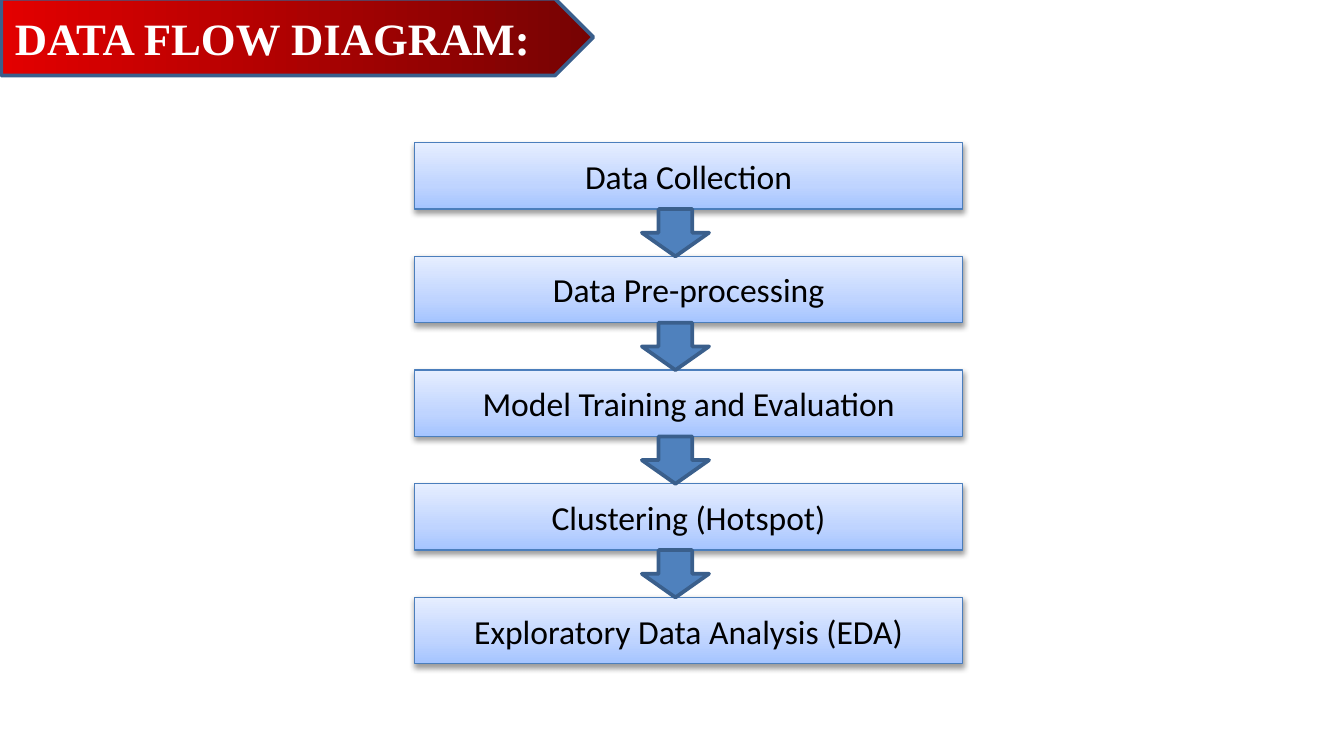
from lxml.etree import SubElement
from pptx import Presentation
from pptx.dml.color import RGBColor
from pptx.enum.shapes import MSO_SHAPE
from pptx.enum.text import MSO_ANCHOR, PP_ALIGN
from pptx.oxml.ns import qn
from pptx.util import Inches, Pt

COLORS = {
    "banner_start": "E30000", "banner_end": "760303",
    "step_bottom": "A4C4FF", "step_middle": "BFD4FF", "step_top": "E6EEFF",
    "step_line": "4B7EBC", "arrow": "4F81BD", "outline": "3A5F8C",
    "shadow": "000000", "text": "000000", "title": "FFFFFF",
}
STEPS = [
    "Data Collection",
    "Data Pre-processing",
    "Model Training and Evaluation",
    "Clustering (Hotspot)",
    "Exploratory Data Analysis (EDA)",
]
GRID = 100  # columns and rows on the slide

# Left, top, width, height in grid columns and rows
BANNER = (0.1, -0.15, 44.05, 10.15)
STEP_LEFT, STEP_TOP, STEP_WIDTH, STEP_HEIGHT = 30.84, 18.88, 40.8, 8.78
STEP_PITCH = 15.04
ARROW_LEFT, ARROW_WIDTH = 47.76, 5


class FlowSlide:
    def __init__(self, presentation):
        self.column = presentation.slide_width / GRID
        self.row = presentation.slide_height / GRID
        self.slide = presentation.slides.add_slide(presentation.slide_layouts[5])

    def box(self, left, top, width, height):
        """Turn grid columns and rows into slide lengths."""
        return (round(left * self.column), round(top * self.row),
                round(width * self.column), round(height * self.row))

    def color(self, name):
        return RGBColor.from_string(COLORS[name])

    def add_shape(self, kind, place, line, line_width):
        shape = self.slide.shapes.add_shape(kind, *self.box(*place))
        shape.shadow.inherit = False
        shape.line.color.rgb = self.color(line)
        shape.line.width = Pt(line_width)
        return shape

    def set_gradient(self, shape, angle, stops):
        """Fill with (percent, colour name) stops at a counter-clockwise angle."""
        shape.fill.gradient()
        shape.fill.gradient_angle = angle
        stop_list = shape._element.spPr.find(qn("a:gradFill")).find(qn("a:gsLst"))
        for old_stop in list(stop_list):
            stop_list.remove(old_stop)
        for percent, name in stops:
            stop = SubElement(stop_list, qn("a:gs"), pos=str(percent * 1000))
            SubElement(stop, qn("a:srgbClr"), val=COLORS[name])

    def set_shadow(self, shape):
        effects = shape._element.spPr.find(qn("a:effectLst"))
        shadow = SubElement(effects, qn("a:outerShdw"), blurRad=str(Pt(3.1)),
                            dist=str(Pt(1.6)), dir="5400000", rotWithShape="0")
        color = SubElement(shadow, qn("a:srgbClr"), val=COLORS["shadow"])
        SubElement(color, qn("a:alpha"), val="38000")

    def set_text(self, shape, text, font, size, color, alignment, bold=False):
        frame = shape.text_frame
        frame.text = text
        frame.word_wrap = True
        frame.vertical_anchor = MSO_ANCHOR.MIDDLE
        paragraph = frame.paragraphs[0]
        paragraph.alignment = alignment
        run_font = paragraph.runs[0].font
        run_font.name = font
        run_font.size = Pt(size)
        run_font.bold = bold
        run_font.color.rgb = self.color(color)

    def add_title(self, text):
        banner = self.add_shape(MSO_SHAPE.PENTAGON, BANNER, "outline", 2)
        self.set_gradient(banner, 0, [(0, "banner_start"), (100, "banner_end")])
        title = self.slide.shapes.title
        title.left, title.top, title.width, title.height = self.box(*BANNER)
        self.set_text(title, text, "Times New Roman", 24, "title", PP_ALIGN.LEFT, True)
        banner._element.addnext(title._element)  # keeps the title in front

    def add_step(self, text, top):
        place = (STEP_LEFT, top, STEP_WIDTH, STEP_HEIGHT)
        step = self.add_shape(MSO_SHAPE.RECTANGLE, place, "step_line", 0.75)
        self.set_gradient(step, 90, [(0, "step_bottom"), (35, "step_middle"),
                                     (100, "step_top")])
        self.set_shadow(step)
        self.set_text(step, text, "Calibri", 18, "text", PP_ALIGN.CENTER)

    def add_arrow(self, top):
        place = (ARROW_LEFT, top, ARROW_WIDTH, STEP_PITCH - STEP_HEIGHT)
        arrow = self.add_shape(MSO_SHAPE.DOWN_ARROW, place, "outline", 2)
        arrow.fill.solid()
        arrow.fill.fore_color.rgb = self.color("arrow")


def main():
    presentation = Presentation()
    presentation.slide_width = Inches(10)
    presentation.slide_height = Inches(10 * 9 / 16)
    flow = FlowSlide(presentation)
    flow.add_title("DATA FLOW DIAGRAM:")
    tops = [STEP_TOP + index * STEP_PITCH for index in range(len(STEPS))]
    for text, top in zip(STEPS, tops):
        flow.add_step(text, top)
    for top in tops[:-1]:
        flow.add_arrow(top + STEP_HEIGHT)
    presentation.save("out.pptx")


if __name__ == "__main__":
    main()
